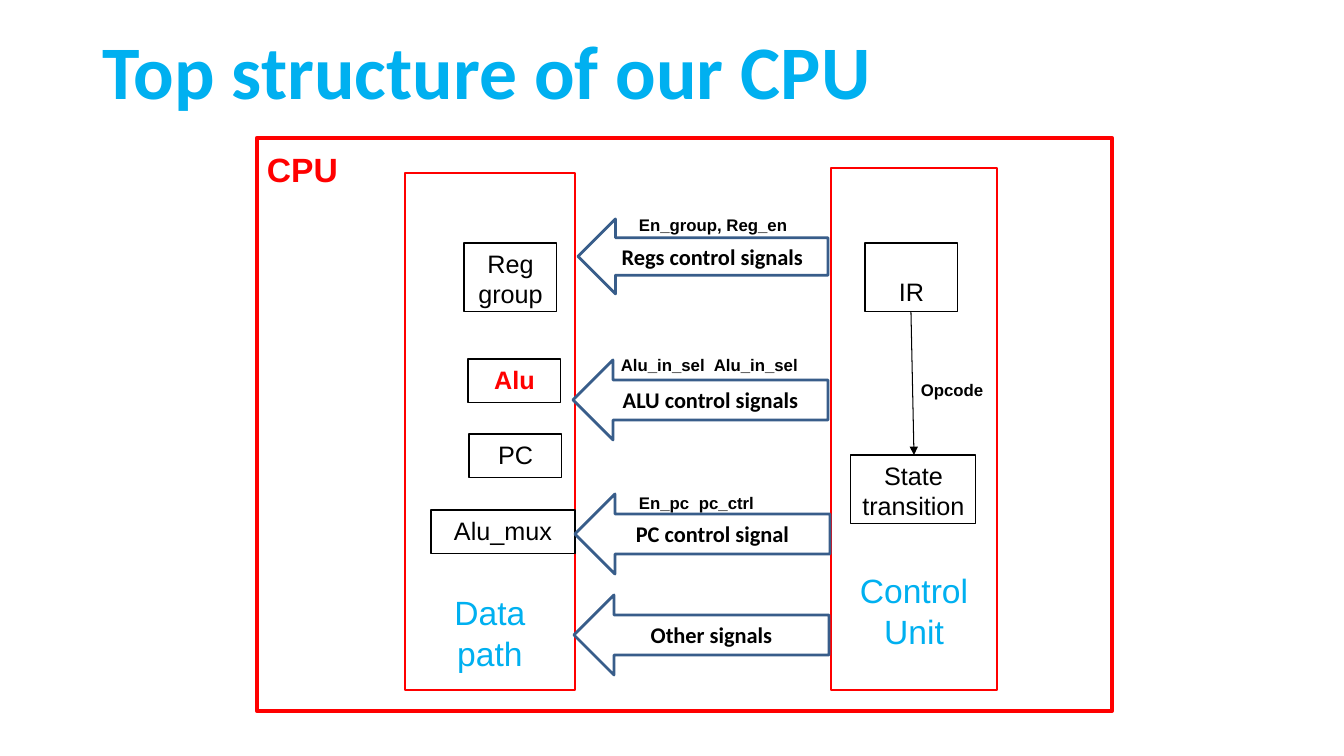
from lxml import etree
from pptx import Presentation
from pptx.dml.color import RGBColor
from pptx.enum.shapes import MSO_CONNECTOR, MSO_SHAPE as SHAPE
from pptx.enum.text import MSO_ANCHOR as ANCHOR, PP_ALIGN as ALIGN
from pptx.oxml.ns import qn
from pptx.util import Emu, Pt

PX = 9071.43  # EMU per px
RED = RGBColor(0xFF, 0x00, 0x00)
SKY = RGBColor(0x00, 0xB0, 0xF0)
STEEL = RGBColor(0x38, 0x5D, 0x8A)
BLACK = RGBColor(0x00, 0x00, 0x00)
WHITE = RGBColor(0xFF, 0xFF, 0xFF)

prs = Presentation()
prs.slide_width, prs.slide_height = Emu(12192000), Emu(6858000)
s = prs.slides.add_slide(prs.slide_layouts[6])


def px(*lengths):
    return [Emu(round(n * PX)) for n in lengths]


def add_text(text, box, shape=None, fill=None, line=None, width=0.75, size=18,
             font="Arial", color=BLACK, bold=False, align=ALIGN.CENTER,
             anchor=ANCHOR.TOP, bottom=5, tab=None, spacing=None):
    """Add a text box, or the given preset shape, holding one paragraph per line of text."""
    if shape is None:
        sp = s.shapes.add_textbox(*px(*box))
    else:
        sp = s.shapes.add_shape(shape, *px(*box))
        sp.shadow.inherit = False
        sp.line.color.rgb = line
        sp.line.width = Pt(width)
        if fill is None:
            sp.fill.background()
        else:
            sp.fill.solid()
            sp.fill.fore_color.rgb = fill
    tf = sp.text_frame
    tf.word_wrap = True
    tf.vertical_anchor = anchor
    tf.margin_bottom = px(bottom)[0]
    tf.text = text
    for p in tf.paragraphs:
        if tab:
            stops = etree.SubElement(p._p.get_or_add_pPr(), qn("a:tabLst"))
            etree.SubElement(stops, qn("a:tab"), pos=str(px(tab)[0]), algn="l")
        p.alignment = align
        p.line_spacing = spacing
        for r in p.runs:
            r.font.name, r.font.size, r.font.bold = font, Pt(size), bold
            r.font.color.rgb = color


add_text("Top structure of our CPU", (93, 2, 1159, 146), size=54, font="Calibri",
         color=SKY, bold=True, align=ALIGN.LEFT, anchor=ANCHOR.MIDDLE, spacing=0.9)

# Units and the frame around them
for text, box, bottom in [("Data\npath", (405, 173, 170, 517), 17),
                          ("Control\nUnit", (831, 168, 166, 522), 39)]:
    add_text(text, box, SHAPE.RECTANGLE, line=RED, width=2, size=24, color=SKY,
             anchor=ANCHOR.BOTTOM, bottom=bottom)
add_text("", (257, 138, 855, 573), SHAPE.RECTANGLE, line=RED, width=3)
add_text("CPU", (257, 144, 97, 50), size=24, color=RED, bold=True, align=ALIGN.LEFT)

# Blocks inside the units
for text, box, style in [
    ("Reg group", (464, 243, 93, 69), {}),
    ("Alu", (468, 359, 93, 44), {"color": RED, "bold": True}),
    ("PC", (469, 434, 93, 44), {}),
    ("Alu_mux", (431, 510, 144, 44), {}),
    ("IR", (865, 243, 93, 69), {"anchor": ANCHOR.BOTTOM}),
    ("State\ntransition", (851, 455, 125, 69), {}),
]:
    add_text(text, box, SHAPE.RECTANGLE, fill=WHITE, line=BLACK, **style)

# Signals from the control unit to the data path
for text, box in [
    ("Regs control signals", (578, 219, 250, 75)),
    ("ALU control signals", (573, 360, 255, 80)),
    ("PC control signal", (575, 494, 255, 80)),
    ("Other signals", (574, 595, 255, 80)),
]:
    add_text(text, box, SHAPE.LEFT_ARROW, fill=WHITE, line=STEEL, width=2, size=16,
             font="Calibri", bold=True, anchor=ANCHOR.MIDDLE)

for text, box, tab in [
    ("En_group, Reg_en", (629, 210, 199, 30), None),
    ("Alu_in_sel\tAlu_in_sel", (611, 350, 199, 30), 93),
    ("En_pc\tpc_ctrl", (629, 488, 199, 30), 60),
    ("Opcode", (911, 375, 92, 30), None),
]:
    add_text(text, box, size=12, bold=True, align=ALIGN.LEFT, tab=tab)

opcode = s.shapes.add_connector(MSO_CONNECTOR.STRAIGHT, *px(911, 312, 914, 455))
opcode.line.color.rgb = BLACK
opcode.line.width = Pt(0.75)
etree.SubElement(opcode.line._get_or_add_ln(), qn("a:tailEnd"), type="triangle")
etree.SubElement(opcode._element.spPr, qn("a:effectLst"))

prs.save("out.pptx")
